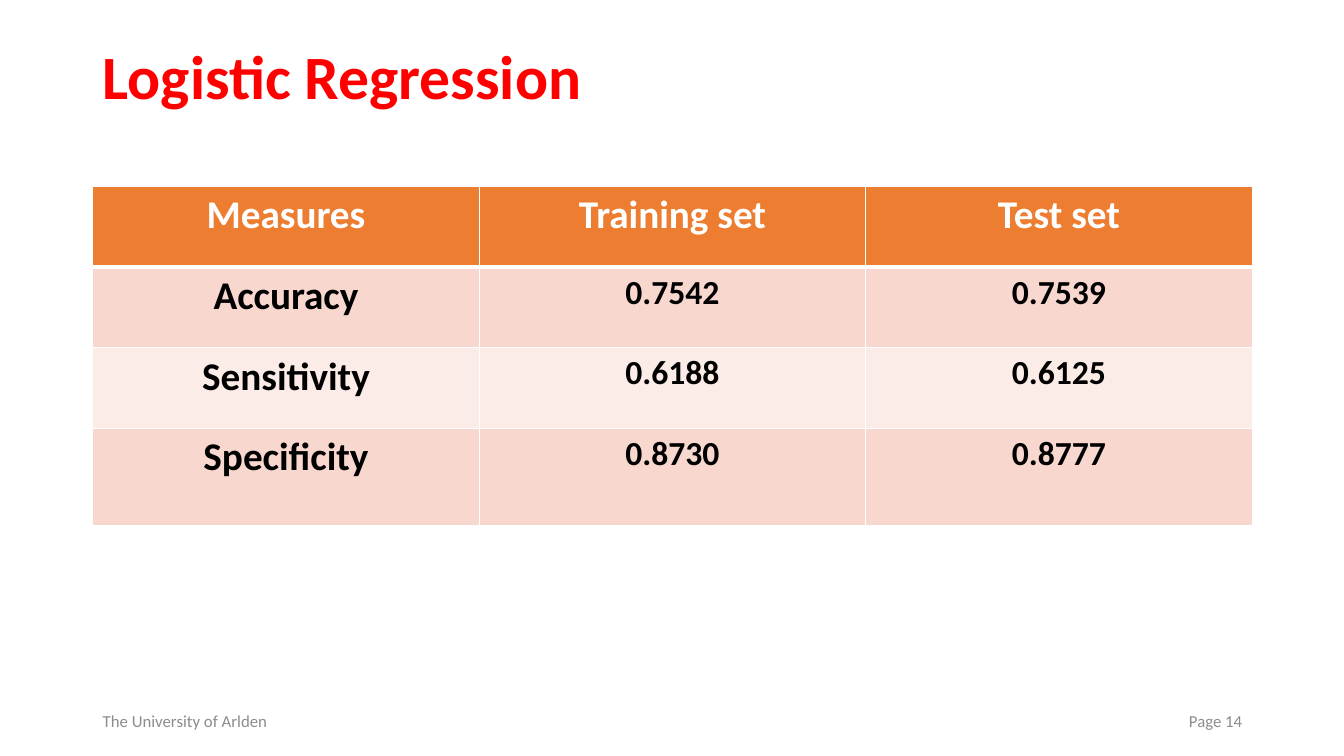
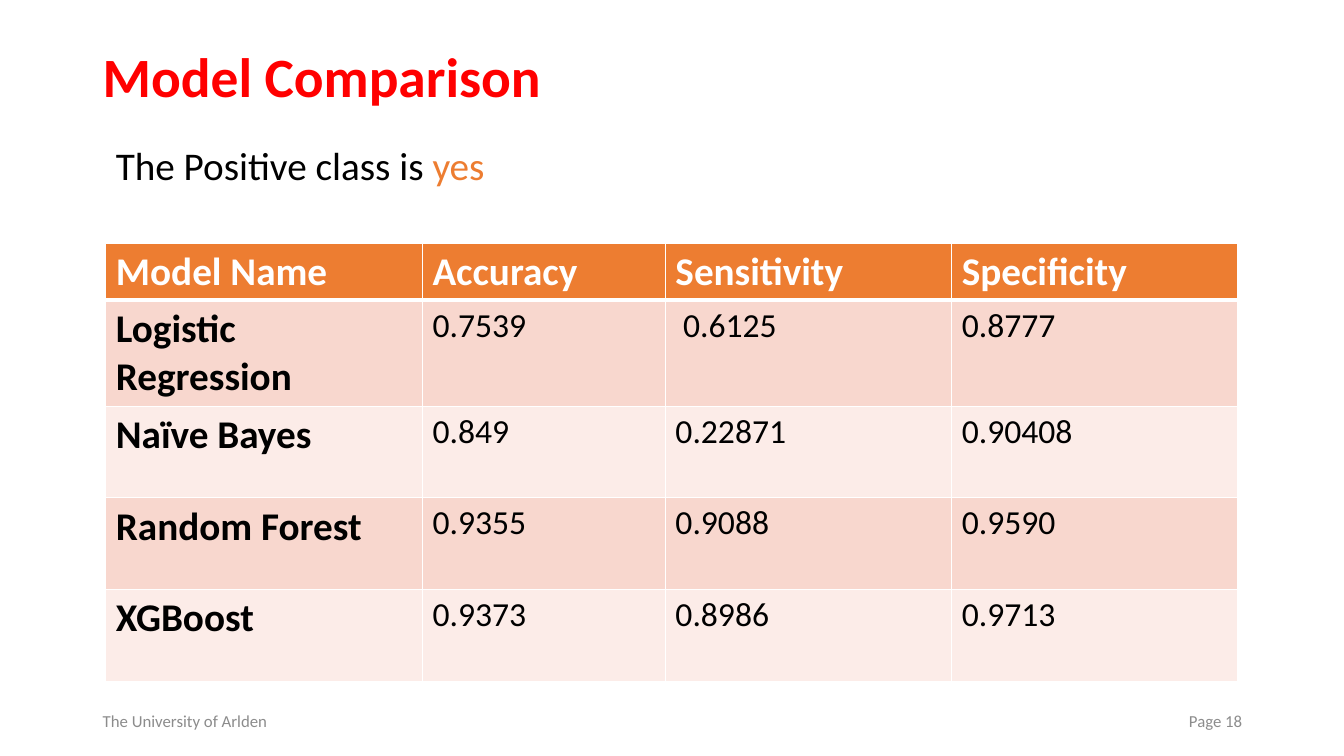
from lxml.etree import SubElement
from pptx import Presentation
from pptx.dml.color import RGBColor
from pptx.enum.text import MSO_ANCHOR as ANCHOR, PP_ALIGN as ALIGN
from pptx.oxml.ns import qn
from pptx.util import Inches, Pt

COLORS = {
    "title": "FF0000",
    "accent": "ED7D31",
    "band_dark": "F8D7CE",
    "band_light": "FCECE8",
    "text": "000000",
    "white": "FFFFFF",
    "footer": "8C8C8C",
}
FONT = "Calibri"
MARGIN = 0.92
CONTENT_WIDTH = 11.5

PAGES = [
    {
        "title": "Logistic Regression",
        "title_size": 44,
        "number": 14,
        "intro": [],
        "origin": (MARGIN, 1.85),
        "columns": [CONTENT_WIDTH / 3] * 3,
        "heights": [0.8, 0.8, 0.8, 0.96],
        "align": ALIGN.CENTER,
        "bold_values": True,
        "rows": [
            ["Measures", "Training set", "Test set"],
            ["Accuracy", "0.7542", "0.7539"],
            ["Sensitivity", "0.6188", "0.6125"],
            ["Specificity", "0.8730", "0.8777"],
        ],
    },
    {
        "title": "Model Comparison",
        "title_size": 39.6,
        "number": 18,
        "intro": [("The Positive class is ", "text"), ("yes", "accent")],
        "origin": (1.05, 2.41),
        "columns": [3.14, 2.41, 2.84, 2.84],
        "heights": [0.57, 1.05, 0.91, 0.91, 0.91],
        "align": ALIGN.LEFT,
        "bold_values": False,
        "rows": [
            ["Model Name", "Accuracy", "Sensitivity", "Specificity"],
            ["Logistic Regression", "0.7539", " 0.6125", "0.8777"],
            ["Naïve Bayes", "0.849", "0.22871", "0.90408"],
            ["Random Forest", "0.9355", "0.9088", "0.9590"],
            ["XGBoost", "0.9373", "0.8986", "0.9713"],
        ],
    },
]


def write(paragraph, parts, size, bold=False, align=ALIGN.LEFT):
    paragraph.alignment = align
    for text, color in parts:
        run = paragraph.add_run()
        run.text = text
        run.font.name = FONT
        run.font.size = Pt(size)
        run.font.bold = bold
        run.font.color.rgb = RGBColor.from_string(COLORS[color])


def add_text(slide, box, parts, size, bold=False, align=ALIGN.LEFT):
    frame = slide.shapes.add_textbox(*map(Inches, box)).text_frame
    frame.word_wrap = True
    frame.vertical_anchor = ANCHOR.MIDDLE
    write(frame.paragraphs[0], parts, size, bold, align)
    return frame


prs = Presentation()
prs.slide_width = Inches(13.33)
prs.slide_height = Inches(7.5)

for page in PAGES:
    slide = prs.slides.add_slide(prs.slide_layouts[6])
    title = add_text(slide, (MARGIN, 0.4, CONTENT_WIDTH, 0.78),
                     [(page["title"], "title")], page["title_size"], bold=True)
    title.paragraphs[0].line_spacing = 0.9
    if page["intro"]:
        add_text(slide, (1.05, 1.35, 5.27, 0.57), page["intro"], 28)

    rows, columns, heights = page["rows"], page["columns"], page["heights"]
    left, top = page["origin"]
    table = slide.shapes.add_table(
        len(rows), len(columns), Inches(left), Inches(top),
        Inches(sum(columns)), Inches(sum(heights))).table
    for column, width in zip(table.columns, columns):
        column.width = Inches(width)
    for row, height in zip(table.rows, heights):
        row.height = Inches(height)

    for r, values in enumerate(rows):
        header = r == 0
        band = "accent" if header else ("band_light", "band_dark")[r % 2]
        for c, value in enumerate(values):
            cell = table.cell(r, c)
            label = header or c == 0
            write(cell.text_frame.paragraphs[0],
                  [(value, "white" if header else "text")],
                  28 if label else 24, label or page["bold_values"], page["align"])
            properties = cell._tc.get_or_add_tcPr()
            for side in ("lnL", "lnR", "lnT", "lnB"):
                thick = (r, side) in ((0, "lnB"), (1, "lnT"))
                border = SubElement(properties, qn(f"a:{side}"), w=str(Pt(3 if thick else 1)))
                SubElement(SubElement(border, qn("a:solidFill")), qn("a:srgbClr"),
                           val=COLORS["white"])
            cell.fill.solid()
            cell.fill.fore_color.rgb = RGBColor.from_string(COLORS[band])

    add_text(slide, (MARGIN, 6.95, 4.5, 0.4), [("The University of Arlden", "footer")], 12)
    add_text(slide, (9.42, 6.95, 3, 0.4), [(f"Page {page['number']}", "footer")], 12,
             align=ALIGN.RIGHT)

prs.save("out.pptx")
